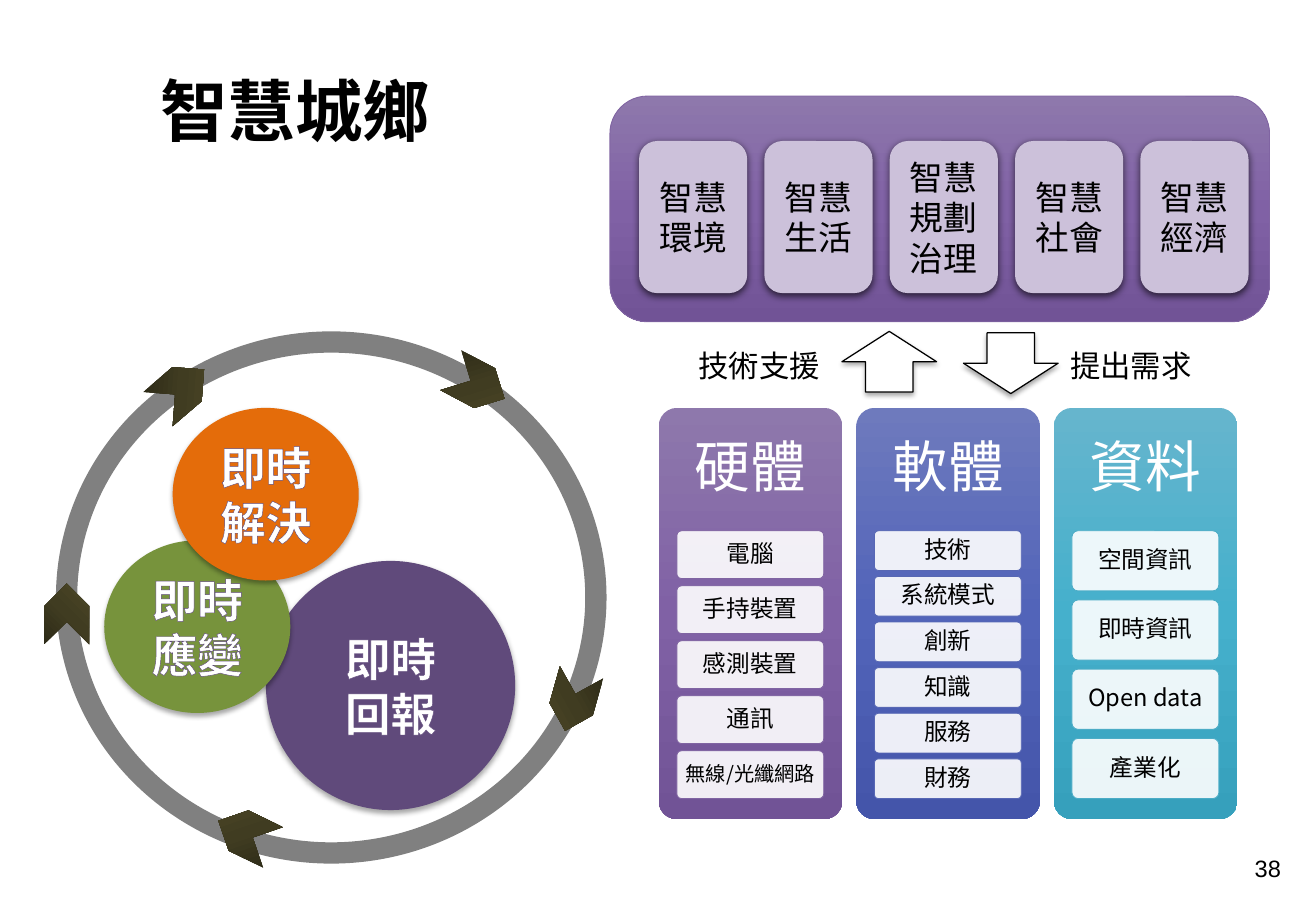
import copy

import pptx
import pptx.dml.color
import pptx.enum.shapes
import pptx.enum.text
import pptx.oxml
import pptx.oxml.ns
import pptx.util

Cm = pptx.util.Cm
Pt = pptx.util.Pt
RGB = pptx.dml.color.RGBColor
MSO = pptx.enum.shapes.MSO_SHAPE
ALIGN = pptx.enum.text.PP_ALIGN
ANCHOR = pptx.enum.text.MSO_ANCHOR
qn = pptx.oxml.ns.qn
NS = pptx.oxml.ns.nsdecls("a")

CJK = "Noto Sans CJK SC"
BLACK = RGB(0x00, 0x00, 0x00)
WHITE = RGB(0xFF, 0xFF, 0xFF)
GREY = RGB(0x80, 0x80, 0x80)
LILAC = RGB(0xCC, 0xC1, 0xDA)
DARK_PURPLE = RGB(0x60, 0x4A, 0x7B)
GREEN = RGB(0x77, 0x93, 0x3C)
ORANGE = RGB(0xE4, 0x6C, 0x0A)
PURPLE = RGB(0x80, 0x64, 0xA2)
BLUE = RGB(0x57, 0x67, 0xB4)
TEAL = RGB(0x4B, 0xAC, 0xC6)
PURPLES = [RGB(0x8E, 0x78, 0xAC), RGB(0x80, 0x61, 0xA5), RGB(0x71, 0x53, 0x96)]
BLUES = [RGB(0x6E, 0x7A, 0xBD), RGB(0x52, 0x64, 0xB9), RGB(0x44, 0x55, 0xAA)]
TEALS = [RGB(0x66, 0xB5, 0xCD), RGB(0x45, 0xB0, 0xCC), RGB(0x36, 0xA0, 0xBC)]
OLIVES = [RGB(0x2D, 0x2A, 0x17), RGB(0x40, 0x3C, 0x21), RGB(0x4C, 0x47, 0x27)]
SOFT_SHADOW = (35, 3.1, 1.8)  # opacity %, blur pt, distance pt
CARD_SHADOW = (63, 4.5, 1.5)

prs = pptx.Presentation()
prs.slide_width, prs.slide_height = Cm(27.51), Cm(19.05)
slide = prs.slides.add_slide(prs.slide_layouts[5])


def add_shape(preset, x, y, w, h, fill, line=None, width=0.5, shadow=None, angle=270):
    """Add a preset shape; a list of three colours gives a gradient."""
    sp = slide.shapes.add_shape(preset, Cm(x), Cm(y), Cm(w), Cm(h))
    sp.shadow.inherit = False
    if isinstance(fill, list):
        sp.fill.gradient()
        sp.fill.gradient_angle = angle
        stops = sp._element.spPr.find(".//" + qn("a:gsLst"))
        stops.insert(1, copy.deepcopy(stops[0]))
        for i, stop in enumerate(sp.fill.gradient_stops):
            stop.position = i / 2
            stop.color.rgb = fill[i]
    else:
        sp.fill.solid()
        sp.fill.fore_color.rgb = fill
    if line is None:
        sp.line.fill.background()
    else:
        sp.line.color.rgb = line
        sp.line.width = Pt(width)
    if shadow:
        opacity, blur, dist = shadow
        sp._element.spPr.find(qn("a:effectLst")).append(pptx.oxml.parse_xml(
            f'<a:outerShdw {NS} blurRad="{Pt(blur)}" dist="{Pt(dist)}" dir="5400000" '
            f'rotWithShape="0"><a:srgbClr val="000000">'
            f'<a:alpha val="{opacity * 1000}"/></a:srgbClr></a:outerShdw>'))
    return sp


def write(sp, lines, size, color=BLACK, bold=False, align=ALIGN.CENTER, anchor=ANCHOR.MIDDLE,
          font=CJK, wrap=True, margins=(0.25, 0.13), spacing=None, outline=None):
    """Write one paragraph per line; margins are horizontal and vertical."""
    tf = sp.text_frame
    tf.word_wrap = wrap
    tf.auto_size = pptx.enum.text.MSO_AUTO_SIZE.NONE
    tf.vertical_anchor = anchor
    tf.margin_left = tf.margin_right = Cm(margins[0])
    tf.margin_top = tf.margin_bottom = Cm(margins[1])
    for i, line in enumerate(lines):
        p = tf.add_paragraph() if i else tf.paragraphs[0]
        p.alignment = align
        if spacing:
            p.line_spacing = spacing
        r = p.add_run()
        r.text = line
        r.font.size = Pt(size)
        r.font.bold = bold
        r.font.color.rgb = color
        r.font.name = font
        rpr = r.font._element
        rpr.find(qn("a:latin")).addnext(
            pptx.oxml.parse_xml(f'<a:ea {NS} typeface="{font}"/>'))
        if outline is not None:
            rpr.insert(0, pptx.oxml.parse_xml(
                f'<a:ln {NS} w="9525"><a:solidFill><a:srgbClr val="{outline}"/>'
                f'</a:solidFill></a:ln>'))


# Arrows between the two layers, with their labels
for x, y, rotation, label, label_x in [(17.6, 6.93, 0, "技術支援", 14.35),
                                       (20.14, 6.96, 180, "提出需求", 22.12)]:
    sp = add_shape(MSO.UP_ARROW, x, y, 1.98, 1.27, WHITE, BLACK, 0.75, SOFT_SHADOW)
    sp.rotation = rotation
    tb = slide.shapes.add_textbox(Cm(label_x), Cm(7.12), Cm(3.07), Cm(1.02))
    write(tb, [label], 18, align=ALIGN.LEFT, anchor=ANCHOR.TOP, wrap=False)

# Three columns of technology, each filled evenly with cards
columns = [
    ("硬體", PURPLES, PURPLE, ["電腦", "手持裝置", "感測裝置", "通訊", "無線/光纖網路"]),
    ("軟體", BLUES, BLUE, ["技術", "系統模式", "創新", "知識", "服務", "財務"]),
    ("資料", TEALS, TEAL, ["空間資訊", "即時資訊", "Open data", "產業化"]),
]
for i, (heading, fill, edge, items) in enumerate(columns):
    x = 13.77 + i * 4.13
    sp = add_shape(MSO.ROUNDED_RECTANGLE, x, 8.53, 3.84, 8.6, fill)
    sp.adjustments[0] = 0.1
    tb = slide.shapes.add_textbox(Cm(x), Cm(8.53), Cm(3.84), Cm(2.58))
    write(tb, [heading], 33, WHITE, margins=(0.36, 0.36), spacing=0.9)
    card_h = 5.6 / (len(items) + 0.15 * (len(items) - 1))
    for j, item in enumerate(items):
        sp = add_shape(MSO.ROUNDED_RECTANGLE, x + 0.38, 11.1 + j * card_h * 1.15,
                       3.07, card_h, WHITE, edge)
        sp.adjustments[0] = 0.1
        sp._element.spPr.find(qn("a:solidFill"))[0].append(
            pptx.oxml.parse_xml(f'<a:alpha {NS} val="90000"/>'))
        write(sp, [item], 12 if len(item) == 7 else 14, margins=(0.08, 0.08), spacing=0.9)

# Panel of smart fields
add_shape(MSO.ROUNDED_RECTANGLE, 12.75, 2.01, 13.79, 4.72, PURPLES, PURPLE)
fields = ["智慧環境", "智慧生活", "智慧規劃治理", "智慧社會", "智慧經濟"]
for i, field in enumerate(fields):
    sp = add_shape(MSO.ROUNDED_RECTANGLE, 13.36 + i * 2.62, 2.95, 2.26, 3.18,
                   LILAC, shadow=CARD_SHADOW)
    write(sp, [field], 20)

# Title
title = slide.shapes.title
title.left, title.top, title.width, title.height = Cm(1.17), Cm(1.32), Cm(10.01), Cm(1.96)
write(title, ["智慧城鄉"], 40, bold=True, anchor=ANCHOR.TOP)

# Ring with three response circles
ring = add_shape(MSO.DONUT, 1.17, 6.93, 11.51, 11.13, GREY)
ring.adjustments[0] = 0.04
for x, y, w, h, fill, action in [(5.56, 11.73, 5.21, 5.21, DARK_PURPLE, "回報"),
                                 (2.18, 11.3, 3.89, 3.61, GREEN, "應變"),
                                 (3.61, 8.53, 3.89, 3.61, ORANGE, "解決")]:
    sp = add_shape(MSO.OVAL, x, y, w, h, fill, shadow=SOFT_SHADOW)
    write(sp, ["即時", action], 27, WHITE, bold=True, outline=DARK_PURPLE)

# Chevrons showing the direction of the ring
for x, y, rotation in [(4.5, 16.97, 206), (0.76, 12.37, 270), (3.15, 7.67, 319.3),
                       (9.35, 7.57, 27.9), (11.35, 14.2, 105.7)]:
    sp = add_shape(MSO.CHEVRON, x, y, 1.27, 0.94, OLIVES, angle=315)
    sp.rotation = rotation

# Slide number
tb = slide.shapes.add_textbox(Cm(20.6), Cm(17.73), Cm(6.43), Cm(1.02))
write(tb, ["38"], 14, align=ALIGN.RIGHT, anchor=ANCHOR.TOP, font="Arial")

prs.save("out.pptx")
